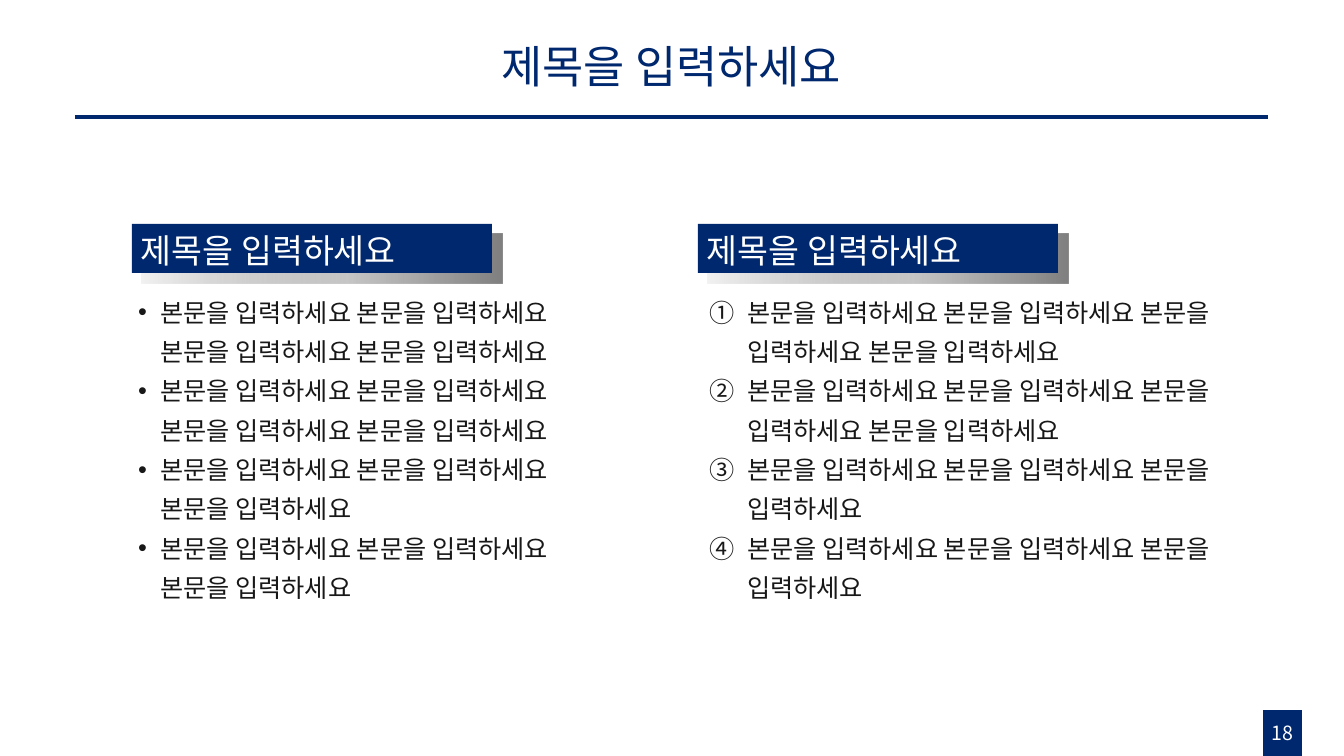
"""Build a two-column text slide with headed bullet and numbered lists."""
from lxml.etree import SubElement
from pptx import Presentation
from pptx.dml.color import RGBColor
from pptx.enum.shapes import MSO_CONNECTOR, MSO_SHAPE
from pptx.enum.text import MSO_ANCHOR, MSO_AUTO_SIZE, PP_ALIGN
from pptx.oxml.ns import qn
from pptx.util import Inches, Pt

SCALE = Inches(1) / 100.8
FONT = "Noto Sans CJK KR"
COLORS = {"navy": "00286F", "ink": "181818", "white": "FFFFFF",
          "dark": "808080", "light": "BFBFBF"}
SHADE_STOPS = [(0, "dark", 10), (57, "light", 88), (100, "dark", 100)]

HEADING = "제목을 입력하세요"
PHRASE = "본문을 입력하세요"
ITEMS = [" ".join([PHRASE] * count) for count in (4, 4, 3, 3)]
DOT = {"tag": "a:buChar", "key": "char", "value": "•", "left": 31, "hang": 22}
CIRCLED = {"tag": "a:buAutoNum", "key": "type", "value": "circleNumDbPlain",
           "left": 38, "hang": 38}
COLUMNS = [
    {"heading_left": 132, "body": (119, 283, 503, 330), "marker": DOT},
    {"heading_left": 698, "body": (699, 283, 526, 330), "marker": CIRCLED},
]


def px(length):
    return round(length * SCALE)


def color(name):
    return RGBColor.from_string(COLORS[name])


def place(shape, bounds):
    for side, length in zip(("left", "top", "width", "height"), bounds):
        setattr(shape, side, px(length))


def apply(target, values):
    for name, value in values.items():
        setattr(target, name, value)


def write(para, text, size, color_name, **layout):
    span = para.add_run()
    span.text = text
    apply(para, {"space_before": Pt(0), **layout})
    apply(span.font, {"size": Pt(size), "name": FONT, "bold": False})
    span.font.color.rgb = color(color_name)
    SubElement(span.font._element, qn("a:ea"), typeface=FONT)


def add_label(shapes, bounds, text, size, anchor, **layout):
    box = shapes.add_textbox(*map(px, bounds))
    apply(box.text_frame, {"word_wrap": True, "vertical_anchor": anchor})
    write(box.text_frame.paragraphs[0], text, size, "white", **layout)


def add_block(shapes, bounds):
    block = shapes.add_shape(MSO_SHAPE.RECTANGLE, *map(px, bounds))
    block.shadow.inherit = False
    block.fill.solid()
    block.fill.fore_color.rgb = color("navy")
    block.line.fill.background()
    return block


def shade(block):
    properties = block._element.spPr
    solid = properties.find(qn("a:solidFill"))
    gradient = SubElement(properties, qn("a:gradFill"), rotWithShape="1")
    properties.replace(solid, gradient)
    stops = SubElement(gradient, qn("a:gsLst"))
    for position, name, opacity in SHADE_STOPS:
        stop = SubElement(stops, qn("a:gs"), pos=str(position * 1000))
        tone = SubElement(stop, qn("a:srgbClr"), val=COLORS[name])
        SubElement(tone, qn("a:alpha"), val=str(opacity * 1000))
    SubElement(gradient, qn("a:lin"), ang="0", scaled="0")


def add_heading(page, left):
    shapes = page.shapes.add_group_shape().shapes
    shade(add_block(shapes, (left + 10, 234, 360, 49)))
    add_block(shapes, (left, 224, 360, 49))
    add_label(shapes, (left - 1, 214, 373, 60), HEADING, 24,
              MSO_ANCHOR.MIDDLE, line_spacing=1.3)


def fill_list(body, bounds, marker):
    place(body, bounds)
    frame = body.text_frame
    apply(frame, {"word_wrap": True, "auto_size": MSO_AUTO_SIZE.NONE})
    for index, item in enumerate(ITEMS):
        para = frame.add_paragraph() if index else frame.paragraphs[0]
        properties = para._p.get_or_add_pPr()
        properties.set("marL", str(px(marker["left"])))
        properties.set("indent", str(-px(marker["hang"])))
        SubElement(properties, qn("a:buFont"), typeface="Arial")
        SubElement(properties, qn(marker["tag"]), {marker["key"]: marker["value"]})
        write(para, item, 18, "ink", line_spacing=1.3)


def fill_title(title):
    place(title, (274, 30, 795, 77))
    apply(title.text_frame, {"vertical_anchor": MSO_ANCHOR.MIDDLE,
                             "auto_size": MSO_AUTO_SIZE.NONE})
    write(title.text_frame.paragraphs[0], HEADING, 32, "navy",
          alignment=PP_ALIGN.CENTER, line_spacing=0.9)


def add_rule(page):
    rule = page.shapes.add_connector(
        MSO_CONNECTOR.STRAIGHT, *map(px, (75, 117, 1268, 117)))
    rule.line.width = Pt(2.25)
    rule.line.color.rgb = color("navy")
    SubElement(rule._element.spPr, qn("a:effectLst"))


def main():
    deck = Presentation()
    apply(deck, {"slide_width": px(1344), "slide_height": px(756)})
    page = deck.slides.add_slide(deck.slide_layouts.get_by_name("Two Content"))
    title, *bodies = page.placeholders
    fill_title(title)
    add_rule(page)
    add_block(page.shapes, (1263, 710, 39, 46))
    add_label(page.shapes, (1249, 716, 67, 34), "18", 14, MSO_ANCHOR.TOP,
              alignment=PP_ALIGN.CENTER)
    for body, column in zip(bodies, COLUMNS):
        fill_list(body, column["body"], column["marker"])
        add_heading(page, column["heading_left"])
    deck.save("out.pptx")


if __name__ == "__main__":
    main()
